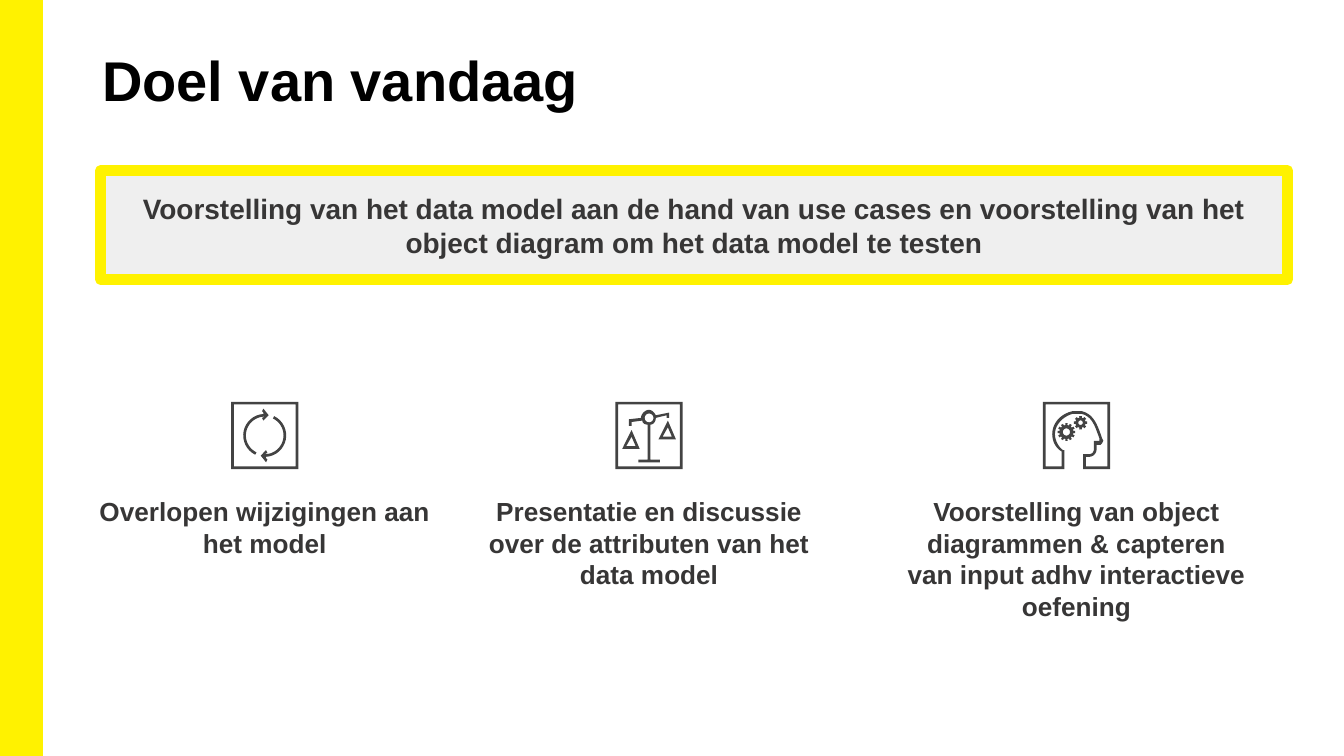
from dataclasses import dataclass
from math import cos, radians, sin

from pptx import Presentation
from pptx.dml.color import RGBColor
from pptx.enum.shapes import MSO_SHAPE as Shape
from pptx.enum.text import MSO_ANCHOR as Anchor, MSO_AUTO_SIZE as AutoSize, PP_ALIGN as Align
from pptx.util import Inches, Pt

WIDTH = 10
HEIGHT = WIDTH * 9 / 16


@dataclass(frozen=True)
class Theme:
    font: str = "Arial"
    accent: str = "FFF200"
    panel: str = "EFEFEF"
    title: str = "000000"
    text: str = "373636"
    icon: str = "434343"
    title_size: int = 30
    callout_size: int = 15
    caption_size: int = 14


def rgb(code):
    return RGBColor.from_string(code)


def write(frame, text, *, font, size, color, align=Align.CENTER,
          anchor=Anchor.TOP, inset=(0.1, 0.05)):
    frame.word_wrap = True
    frame.auto_size = AutoSize.NONE
    frame.vertical_anchor = anchor
    frame.margin_left = frame.margin_right = Inches(inset[0])
    frame.margin_top = frame.margin_bottom = Inches(inset[1])
    frame.text = text
    paragraph = frame.paragraphs[0]
    paragraph.alignment = align
    paragraph.font.name = font
    paragraph.font.size = Pt(size)
    paragraph.font.bold = True
    paragraph.font.color.rgb = rgb(color)


# Icon geometry, in hundredths of an inch from the icon's top left corner
def polar(center, radius, degrees):
    angle = radians(degrees)
    return center[0] + radius * cos(angle), center[1] + radius * sin(angle)


def arc(center, radius, start, end, steps=16):
    return [polar(center, radius, start + (end - start) * i / steps) for i in range(steps + 1)]


def curve(*controls, steps=10):
    def point(t):
        weights = ((1 - t) ** 3, 3 * t * (1 - t) ** 2, 3 * t * t * (1 - t), t ** 3)
        return tuple(sum(w * c[axis] for w, c in zip(weights, controls)) for axis in (0, 1))
    return [point(i / steps) for i in range(steps + 1)]


def square(near, far):
    return [(near, near), (near, far), (far, far), (far, near)]


def gear(center, teeth, root, tip, hole):
    step = 360 / teeth
    profile = ((root, -0.3), (tip, -0.25), (tip, 0.25), (root, 0.3))
    rim = [polar(center, radius, (tooth + shift) * step)
           for tooth in range(teeth) for radius, shift in profile]
    return [rim, arc(center, hole, 0, 360)]


def moved(points, dx, dy):
    return [(x + dx, y + dy) for x, y in points]


FRAME = [square(0, 50), square(2, 48)]


def cycle_icon():
    center = (25, 25)
    arrow = (arc(center, 14, 180, 270)
             + [(23, 12), (24, 14), (28, 10), (24, 5), (23, 7), (24, 8)]
             + arc(center, 16, 267, 116) + arc(center, 14, 116, 180))
    turned = [(50 - x, 50 - y) for x, y in arrow]
    return [FRAME, [arrow], [turned]]


def scales_icon():
    pan = [[(12, 21), (5, 35), (18, 35)], [(12, 26), (15, 33), (8, 33)]]
    beam = ([(12, 15)] + curve((20, 14), (20, 16), (22, 17), (24, 17))
            + [(24, 43), (17, 43), (17, 45), (33, 45), (33, 43), (26, 43)]
            + curve((26, 17), (28, 17), (30, 15), (30, 12))
            + [(38, 10), (38, 12), (40, 12), (40, 8)]
            + curve((30, 10), (29, 8), (27, 6), (25, 6))
            + curve((25, 6), (22, 6), (19, 9), (19, 12))
            + [(10, 13), (10, 18), (12, 18)])
    other_pan = [moved(side, 27, -7) for side in pan]
    return [FRAME + pan + other_pan + [beam, arc((25, 12), 3.3, 0, 360)]]


def thinking_icon():
    inner_head = ([(0, 0), (0, 50), (16, 50), (16, 36)]
                  + curve((15, 36), (11, 33), (9, 28), (9, 24))
                  + curve((9, 24), (9, 17), (15, 11), (22, 9))
                  + [(25, 9)] + curve((29, 9), (37, 11), (39, 19), (42, 27))
                  + [(42, 29), (38, 29)] + curve((38, 35), (38, 38), (36, 39), (34, 39))
                  + [(30, 39), (30, 50), (50, 50), (50, 0)])
    outer_head = ([(48, 48), (32, 48), (32, 41)]
                  + curve((34, 41), (37, 41), (40, 39), (40, 35))
                  + [(40, 32), (43, 32), (44, 31), (45, 29)]
                  + curve((44, 27), (41, 18), (38, 9), (29, 7))
                  + [(25, 7)] + curve((22, 7), (13, 9), (7, 16), (7, 24))
                  + curve((7, 24), (7, 29), (9, 34), (14, 37))
                  + [(14, 48), (2, 48), (2, 2), (48, 2)])
    return [[inner_head, outer_head],
            gear((17.5, 22.5), 12, 5.2, 6.6, 2.7),
            gear((28, 15.5), 8, 3.8, 5, 1.7)]


class Deck:
    def __init__(self, theme, width, height):
        self.theme = theme
        self.file = Presentation()
        self.file.slide_width, self.file.slide_height = Inches(width), Inches(height)
        self.slide = self.file.slides.add_slide(self.file.slide_layouts[5])

    def paint(self, shape, fill, line=None, weight=1):
        shape.shadow.inherit = False
        shape.fill.solid()
        shape.fill.fore_color.rgb = rgb(fill)
        if line:
            shape.line.color.rgb = rgb(line)
            shape.line.width = Pt(weight)
        else:
            shape.line.fill.background()

    def title(self, text, box):
        heading = self.slide.shapes.title
        heading.left, heading.top, heading.width, heading.height = map(Inches, box)
        write(heading.text_frame, text, font=self.theme.font, size=self.theme.title_size,
              color=self.theme.title, align=Align.LEFT, inset=(0.07, 0.04))

    def panel(self, box, fill, weight):
        panel = self.slide.shapes.add_shape(Shape.RECTANGLE, *map(Inches, box))
        self.paint(panel, fill, self.theme.accent, weight)
        return panel

    def callout(self, text, box):
        panel = self.panel(box, self.theme.panel, 6)
        write(panel.text_frame, text, font=self.theme.font, size=self.theme.callout_size,
              color=self.theme.text, anchor=Anchor.MIDDLE)

    def caption(self, text, box):
        caption = self.slide.shapes.add_textbox(*map(Inches, box))
        write(caption.text_frame, text, font=self.theme.font,
              size=self.theme.caption_size, color=self.theme.text)

    def icon(self, parts, left, top):
        for contours in parts:
            placed = [[(Inches(left + x / 100), Inches(top + y / 100)) for x, y in contour]
                      for contour in contours]
            builder = self.slide.shapes.build_freeform(*placed[0][0])
            for contour in placed:
                builder.move_to(*contour[0])
                builder.add_line_segments(contour[1:], close=True)
            self.paint(builder.convert_to_shape(), self.theme.icon)


def main():
    theme = Theme()
    deck = Deck(theme, WIDTH, HEIGHT)

    # Side bar, title and goal
    deck.panel((0, 0, 0.31, HEIGHT), theme.accent, 1)
    deck.title("Doel van vandaag", (0.69, 0.3, 8.62, 0.81))
    deck.callout("Voorstelling van het data model aan de hand van use cases en voorstelling "
                 "van het object diagram om het data model te testen",
                 (0.75, 1.27, 8.83, 0.81))

    # Agenda: an icon centred above each caption
    agenda = (
        (cycle_icon(), 0.61, 2.72, "Overlopen wijzigingen aan het model"),
        (scales_icon(), 3.43, 2.8,
         "Presentatie en discussie over de attributen van het data model"),
        (thinking_icon(), 6.61, 2.8,
         "Voorstelling van object diagrammen & capteren van input adhv interactieve oefening"),
    )
    for icon, left, width, text in agenda:
        deck.icon(icon, left + (width - 0.5) / 2, 2.99)
        deck.caption(text, (left, 3.64, width, 1.28))

    deck.file.save("out.pptx")


if __name__ == "__main__":
    main()
